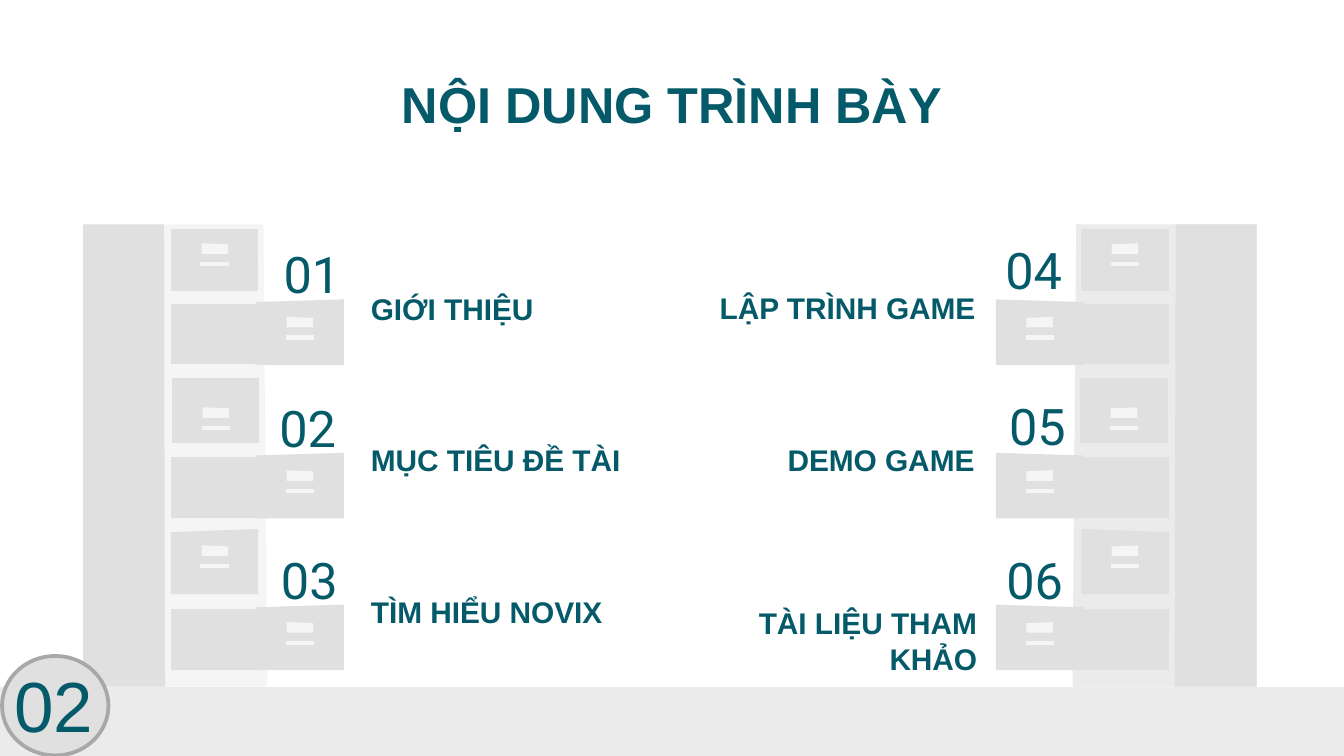
from pptx import Presentation
from pptx.dml.color import RGBColor
from pptx.enum.shapes import MSO_SHAPE
from pptx.enum.text import MSO_ANCHOR, MSO_AUTO_SIZE, PP_ALIGN
from pptx.util import Cm, Pt

OVAL = MSO_SHAPE.OVAL
TOP, MIDDLE, BOTTOM = MSO_ANCHOR.TOP, MSO_ANCHOR.MIDDLE, MSO_ANCHOR.BOTTOM
LEFT, CENTER, RIGHT = PP_ALIGN.LEFT, PP_ALIGN.CENTER, PP_ALIGN.RIGHT
NO_AUTOFIT = MSO_AUTO_SIZE.NONE

TEAL = RGBColor(0x04, 0x5A, 0x68)
FLOOR_GRAY = RGBColor(0xEB, 0xEB, 0xEB)
DRAWER_GRAY = RGBColor(0xE0, 0xE0, 0xE0)
PALE_GRAY = RGBColor(0xF5, 0xF5, 0xF5)
RING_GRAY = RGBColor(0xA8, 0xA8, 0xA8)

SLIDE_WIDTH, SLIDE_HEIGHT = 25.4, 14.29
MIRROR_WIDTH = 25.32
CABINET_TOP, FLOOR_TOP = 4.24, 12.98

CLOSED_DRAWERS = [
    (3.23, 4.33, 4.33, 5.5, 4.6),
    (3.25, 7.14, 7.14, 8.38, 7.7),
    (3.23, 10.06, 10, 11.23, 10.31),
]
OPEN_DRAWER_TOPS = [5.66, 8.56, 11.43]

TOPICS = [
    ("01", (4.98, 4.34), "GIỚI THIỆU", (6.76, 5.18, 5.69, 1.24), LEFT),
    ("02", (4.9, 7.26), "MỤC TIÊU ĐỀ TÀI", (6.76, 8.03, 5.69, 1.24), LEFT),
    ("03", (4.93, 10.13), "TÌM HIỂU NOVIX", (6.76, 10.92, 5.69, 1.22), LEFT),
    ("04", (18.62, 4.27), "LẬP TRÌNH GAME", (12.75, 4.62, 5.94, 1.78), RIGHT),
    ("05", (18.69, 7.21), "DEMO GAME", (12.98, 7.49, 5.69, 1.78), RIGHT),
    ("06", (18.64, 10.13), "TÀI LIỆU THAM KHẢO", (13.23, 11.23, 5.49, 1.8), RIGHT),
]


def format_text(box, text, size, font_name="Arial", bold=False,
                align=CENTER, anchor=TOP, margin=0.25):
    frame = box.text_frame
    frame.text = text
    frame.word_wrap = True
    frame.auto_size = NO_AUTOFIT
    frame.vertical_anchor = anchor
    frame.margin_left = frame.margin_right = Cm(0.25)
    frame.margin_top = frame.margin_bottom = Cm(margin)
    paragraph = frame.paragraphs[0]
    paragraph.alignment = align
    font = paragraph.font
    font.name, font.size, font.bold = font_name, Pt(size), bold
    font.color.rgb = TEAL


def add_title(slide, text):
    title = slide.shapes.title
    title.left, title.top = Cm(2), Cm(1.5)
    title.width, title.height = Cm(21.4), Cm(0.9)
    format_text(title, text, 27, bold=True, anchor=MIDDLE)


def add_text(slide, text, place, size, **style):
    box = slide.shapes.add_textbox(*map(Cm, place))
    format_text(box, text, size, **style)


def add_outline(shapes, points, color, mirrored=False):
    corners = [(Cm(MIRROR_WIDTH - x if mirrored else x), Cm(y)) for x, y in points]
    builder = shapes.build_freeform(*corners[0])
    builder.add_line_segments(corners[1:], close=True)
    outline = builder.convert_to_shape()
    outline.shadow.inherit = False
    outline.fill.solid()
    outline.fill.fore_color.rgb = color
    outline.line.fill.background()


def add_cabinet(slide, mirrored, body_color):
    shapes = slide.shapes.add_group_shape().shapes

    def panel(left, right, left_top, right_top, bottom, color):
        points = [(left, left_top), (left, bottom), (right, bottom), (right, right_top)]
        add_outline(shapes, points, color, mirrored)

    def handle(left, top):
        panel(left, left + 0.5, top, top + 0.02, top + 0.2, PALE_GRAY)
        panel(left - 0.02, left + 0.51, top + 0.35, top + 0.35, top + 0.43, PALE_GRAY)

    for top_right, bottom_right, color in [(4.98, 5.05, body_color),
                                           (3.1, 3.12, DRAWER_GRAY)]:
        add_outline(shapes, [(1.57, CABINET_TOP), (1.57, FLOOR_TOP),
                             (bottom_right, FLOOR_TOP), (top_right, CABINET_TOP)],
                    color, mirrored)

    for left, left_top, right_top, bottom, handle_top in CLOSED_DRAWERS:
        panel(left, left + 1.65, left_top, right_top, bottom, DRAWER_GRAY)
        handle(left + 0.58, handle_top)

    for top in OPEN_DRAWER_TOPS:
        panel(4.83, 6.5, top + 0.05, top, top + 1.24, DRAWER_GRAY)
        handle(5.42, top + 0.33)
        panel(3.23, 4.83, top + 0.08, top + 0.08, top + 1.23, DRAWER_GRAY)


def add_page_badge(slide, number):
    badge = slide.shapes.add_shape(OVAL, Cm(0.04), Cm(12.4), Cm(2.01), Cm(1.88))
    badge.shadow.inherit = False
    badge.fill.solid()
    badge.fill.fore_color.rgb = DRAWER_GRAY
    badge.line.color.rgb = RING_GRAY
    badge.line.width = Pt(2)
    add_text(slide, number, (-0.05, 12.37, 2.13, 1.88), 38, margin=0.13)


def main():
    prs = Presentation()
    prs.slide_width, prs.slide_height = Cm(SLIDE_WIDTH), Cm(SLIDE_HEIGHT)
    slide = prs.slides.add_slide(prs.slide_layouts[5])

    add_outline(slide.shapes, [(0, FLOOR_TOP), (0, SLIDE_HEIGHT),
                               (SLIDE_WIDTH, SLIDE_HEIGHT), (SLIDE_WIDTH, FLOOR_TOP)],
                FLOOR_GRAY)
    add_title(slide, "NỘI DUNG TRÌNH BÀY")
    for number, (left, top), topic, place, align in TOPICS:
        add_text(slide, topic, place, 16, bold=True, align=align, anchor=BOTTOM)
        add_text(slide, number, (left, top, 1.83, 2.29), 27, font_name="Roboto")
    add_cabinet(slide, True, FLOOR_GRAY)
    add_cabinet(slide, False, PALE_GRAY)
    add_page_badge(slide, "02")

    prs.save("out.pptx")


if __name__ == "__main__":
    main()
